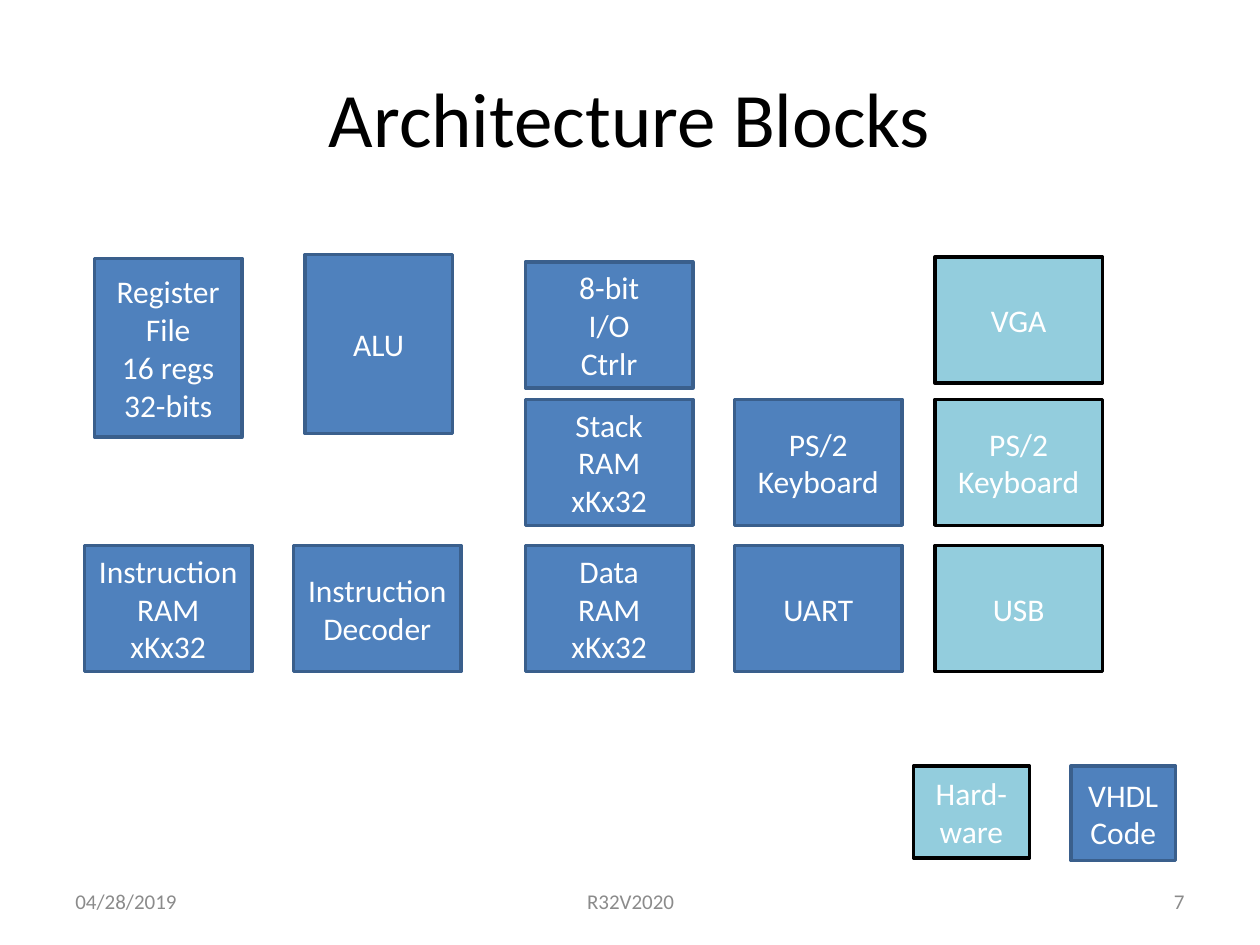
"""Build the Architecture Blocks slide."""
from typing import NamedTuple

from pptx import Presentation
from pptx.dml.color import RGBColor
from pptx.enum.shapes import MSO_SHAPE
from pptx.enum.text import MSO_ANCHOR, PP_ALIGN
from pptx.util import Inches, Pt


class Style(NamedTuple):
    """Fill and line colours of a kind of block."""
    fill: str
    line: str


class Block(NamedTuple):
    """A labelled rectangle; lengths in inches."""
    text: str
    left: float
    top: float
    style: Style
    width: float = 1.33
    height: float = 1


class Footer(NamedTuple):
    """A footer text; lengths in inches."""
    text: str
    left: float
    width: float
    align: PP_ALIGN


VHDL = Style("4F81BD", "3A5F8C")
HARDWARE = Style("93CDDD", "000000")
INSTRUCTION, DECODER, MEMORY, INTERFACE, DEVICE = 0.67, 2.33, 4.17, 5.83, 7.42
MIDDLE, BOTTOM, LEGEND = 3.17, 4.33, 6.08

BLOCKS = [
    Block("Register File\n16 regs\n32-bits", 0.75, 2.05, VHDL, 1.17, 1.42),
    Block("ALU", 2.42, 2.02, VHDL, 1.17, 1.42),
    Block("8-bit\nI/O\nCtrlr", MEMORY, 2.08, VHDL),
    Block("VGA", DEVICE, 2.04, HARDWARE),
    Block("Stack\nRAM\nxKx32", MEMORY, MIDDLE, VHDL),
    Block("PS/2 Keyboard", INTERFACE, MIDDLE, VHDL),
    Block("PS/2 Keyboard", DEVICE, MIDDLE, HARDWARE),
    Block("Instruction\nRAM\nxKx32", INSTRUCTION, BOTTOM, VHDL),
    Block("Instruction\nDecoder", DECODER, BOTTOM, VHDL),
    Block("Data\nRAM\nxKx32", MEMORY, BOTTOM, VHDL),
    Block("UART", INTERFACE, BOTTOM, VHDL),
    Block("USB", DEVICE, BOTTOM, HARDWARE),
    Block("Hard-\nware", 7.25, LEGEND, HARDWARE, 0.92, 0.73),
    Block("VHDL\nCode", 8.5, LEGEND, VHDL, 0.83, 0.75),
]

FOOTERS = [
    Footer("04/28/2019", 0.5, 2.33, PP_ALIGN.LEFT),
    Footer("R32V2020", 3.42, 3.17, PP_ALIGN.CENTER),
    Footer("7", 7.17, 2.33, PP_ALIGN.RIGHT),
]


def rgb(color: str) -> RGBColor:
    """Turn a hex string into a colour."""
    return RGBColor.from_string(color)


def set_text(sp, text: str, *, size: float, color: str,
             align: PP_ALIGN = PP_ALIGN.CENTER) -> None:
    """Write text into a shape, one paragraph a line."""
    tf = sp.text_frame
    tf.word_wrap = True
    tf.vertical_anchor = MSO_ANCHOR.MIDDLE
    tf.text = text
    for p in tf.paragraphs:
        p.alignment = align
        for r in p.runs:
            r.font.name = "Calibri"
            r.font.size = Pt(size)
            r.font.color.rgb = rgb(color)


def add_block(s, block: Block) -> None:
    """Draw a block."""
    sp = s.shapes.add_shape(
        MSO_SHAPE.RECTANGLE, Inches(block.left), Inches(block.top),
        Inches(block.width), Inches(block.height))
    sp.shadow.inherit = False
    sp.fill.solid()
    sp.fill.fore_color.rgb = rgb(block.style.fill)
    sp.line.color.rgb = rgb(block.style.line)
    sp.line.width = Pt(2)
    set_text(sp, block.text, size=18, color="FFFFFF")


def add_footer(s, footer: Footer) -> None:
    """Draw a footer text."""
    sp = s.shapes.add_textbox(Inches(footer.left), Inches(6.95),
                              Inches(footer.width), Inches(0.4))
    set_text(sp, footer.text, size=12, color="8B8B8B", align=footer.align)


def main() -> None:
    """Build and save the slide."""
    prs = Presentation()
    prs.slide_width, prs.slide_height = Inches(10), Inches(7.5)
    s = prs.slides.add_slide(prs.slide_layouts[5])
    title = s.shapes.title
    title.left, title.top = Inches(0.5), Inches(0.3)
    title.width, title.height = Inches(9), Inches(1.25)
    set_text(title, "Architecture Blocks", size=44, color="000000")
    for footer in FOOTERS:
        add_footer(s, footer)
    for block in BLOCKS:
        add_block(s, block)
    prs.save("out.pptx")


if __name__ == "__main__":
    main()
